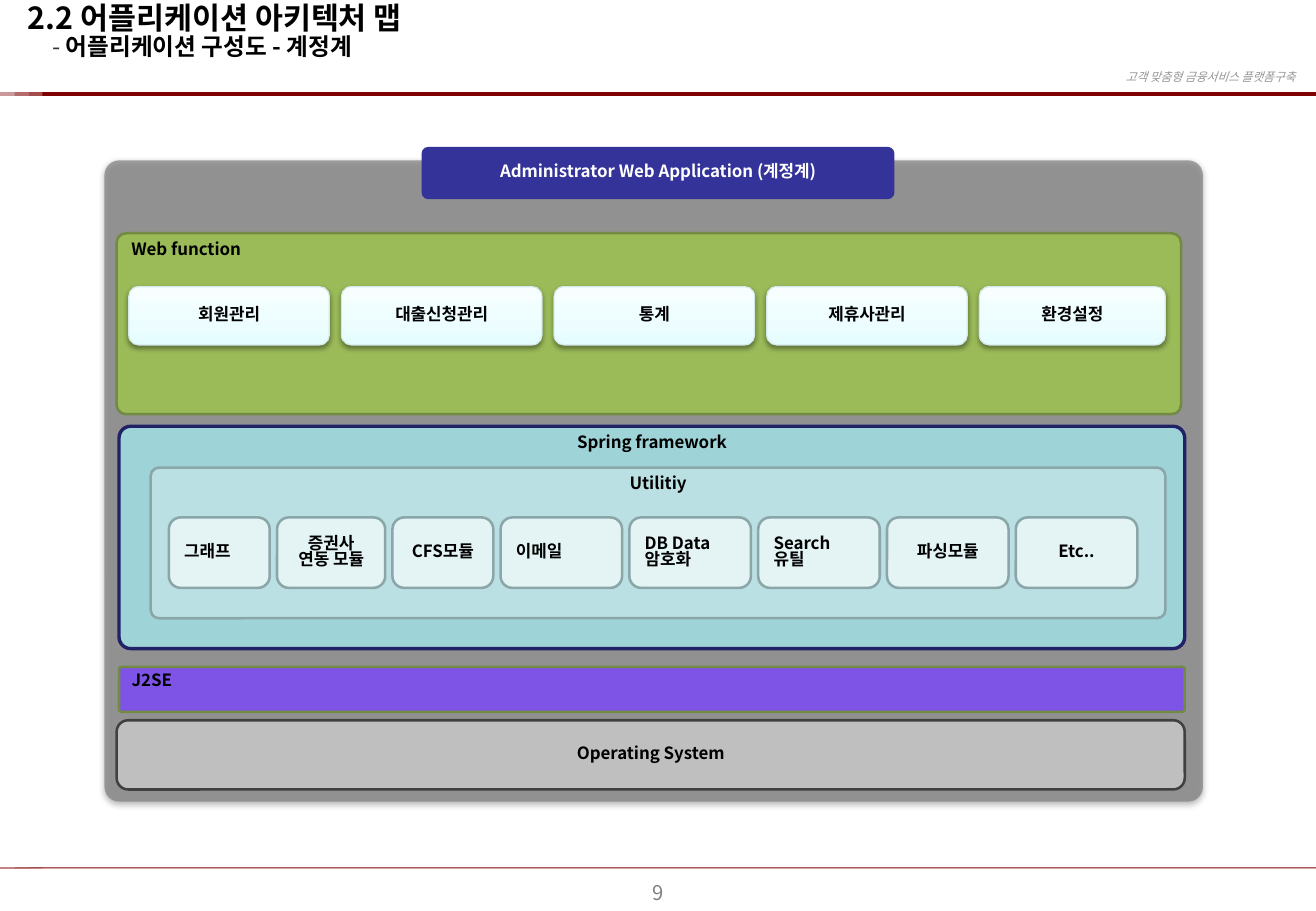
import pptx
import pptx.util
import pptx.dml.color
import pptx.enum.shapes
import pptx.enum.text
import pptx.oxml
from pptx.oxml.ns import nsdecls, qn

Inches, Pt = pptx.util.Inches, pptx.util.Pt
RGB = pptx.dml.color.RGBColor.from_string
SHAPE = pptx.enum.shapes.MSO_SHAPE
ALIGN = pptx.enum.text.PP_ALIGN
ANCHOR = pptx.enum.text.MSO_ANCHOR

THEME = {
    "font": "Noto Sans CJK KR",
    "title": 18, "subtitle": 14, "page": 12, "label": 10, "tag": 7,
    "black": "000000", "white": "FFFFFF", "dash": "333333",
    "page_gray": "808080", "tag_gray": "969696",
    "rule": ["7E0000", "A44B4B", "B46B6B", "CB9999"],
    "frame": "808080", "banner": "333399",
    "os": "BFBFBF", "os_line": "404040",
    "web": "9BBB59", "web_line": "738A42", "j2se": "7E54E6",
    "spring": "9ED3D7", "spring_line": "212166",
    "utility": "BBE0E3", "module": "E4F3F4", "utility_line": "8AA6A8",
    "function": ["E6FDFF", "F8FEFF"], "function_line": "D5E8EA",
}
SHADOW = (f'<a:effectLst {nsdecls("a")}><a:outerShdw blurRad="39370" dist="20320" '
          'dir="5400000" rotWithShape="0"><a:srgbClr val="000000">'
          '<a:alpha val="38000"/></a:srgbClr></a:outerShdw></a:effectLst>')


def write(p, text, size, color="black", bold=True, italic=False):
    """Add one run in the slide's font, for Latin and Korean alike."""
    r = p.add_run()
    r.text = text
    for name, value in {"name": THEME["font"], "size": Pt(THEME[size]),
                        "bold": bold, "italic": italic}.items():
        setattr(r.font, name, value)
    r.font.color.rgb = RGB(THEME[color])
    r.font._element.find(qn("a:latin")).addnext(pptx.oxml.parse_xml(
        f'<a:ea {nsdecls("a")} typeface="{THEME["font"]}"/>'))


def box(at, fill, line=None, width=1.5, radius=None, text="", color="black",
        align=ALIGN.CENTER, anchor=ANCHOR.MIDDLE, shadow=False):
    """Draw a panel; radius 0 gives square corners, a list as fill a gradient."""
    kind = SHAPE.RECTANGLE if radius == 0 else SHAPE.ROUNDED_RECTANGLE
    sp = s.shapes.add_shape(kind, *map(Inches, at))
    if radius:
        sp.adjustments[0] = radius
    sp.shadow.inherit = False
    if isinstance(fill, list):
        sp.fill.gradient()
        sp.fill.gradient_angle = 90
        for stop, stop_color in zip(sp.fill.gradient_stops, fill):
            stop.color.rgb = RGB(stop_color)
    else:
        sp.fill.solid()
        sp.fill.fore_color.rgb = RGB(fill)
    if line:
        sp.line.color.rgb = RGB(THEME[line])
        sp.line.width = Pt(width)
    else:
        sp.line.fill.background()
    if shadow:
        effects = sp._element.spPr.find(qn("a:effectLst"))
        effects.getparent().replace(effects, pptx.oxml.parse_xml(SHADOW))
    tf = sp.text_frame
    tf.word_wrap = True
    tf.vertical_anchor = anchor
    for i, part in enumerate(text.split("\n") if text else []):
        p = tf.add_paragraph() if i else tf.paragraphs[0]
        p.alignment = align
        p.line_spacing = 0.82
        write(p, part, "label", color)
    return sp


prs = pptx.Presentation()
prs.slide_width, prs.slide_height = Inches(10.83), Inches(7.5)
s = prs.slides.add_slide(prs.slide_layouts[5])

# Header and footer
for top, height in [(0.76, 0.03), (7.14, 0.01)]:
    for length, shade in zip([10.83, 0.35, 0.24, 0.12], THEME["rule"]):
        box((0, top, length, height), shade, radius=0)

for at, text, size, color, align, italic in [
    ((4.15, 7.2, 2.53, 0.29), "9", "page", "page_gray", ALIGN.CENTER, False),
    ((8.26, 0.52, 2.5, 0.22), "고객 맞춤형 금융서비스 플랫폼구축", "tag", "tag_gray",
     ALIGN.RIGHT, True),
]:
    tf = s.shapes.add_textbox(*map(Inches, at)).text_frame
    tf.word_wrap = True
    tf.vertical_anchor = ANCHOR.MIDDLE
    tf.paragraphs[0].alignment = align
    write(tf.paragraphs[0], text, size, color, bold=False, italic=italic)

title = s.shapes.title
for side, value in zip(["left", "top", "width", "height"], [0.13, -0.01, 9.75, 0.76]):
    setattr(title, side, Inches(value))
tf = title.text_frame
tf.vertical_anchor = ANCHOR.TOP
tf.auto_size = pptx.enum.text.MSO_AUTO_SIZE.NONE
heading, subheading = tf.paragraphs[0], tf.add_paragraph()
for p in (heading, subheading):
    p.alignment = ALIGN.LEFT
    p.line_spacing = 0.85
    p.space_before = Pt(0)
write(heading, "2.2 어플리케이션 아키텍처 맵", "title")
subheading._p.get_or_add_pPr().set("marL", str(Inches(0.2)))
write(subheading, "- ", "subtitle", "dash", bold=False)
write(subheading, "어플리케이션 구성도 - 계정계", "subtitle")

# Layers of the application
frame = box((0.86, 1.32, 9.04, 5.28), THEME["frame"], radius=0.023, shadow=True)
frame_color = frame.fill._xPr.find(qn("a:solidFill"))[0]
frame_color.append(pptx.oxml.parse_xml(f'<a:alpha {nsdecls("a")} val="70000"/>'))

top_left = {"align": ALIGN.LEFT, "anchor": ANCHOR.TOP}
top_center = {"anchor": ANCHOR.TOP}
for at, fill, line, width, radius, text, style in [
    ((0.96, 5.93, 8.79, 0.57), "os", "os_line", 1.5, None, "Operating System", {}),
    ((0.96, 1.92, 8.76, 1.49), "web", "web_line", 1.5, 0.052, "Web function", top_left),
    ((3.47, 1.21, 3.89, 0.43), "banner", None, 0, 0.12,
     "Administrator Web Application (계정계)", {"color": "white"}),
    ((0.98, 5.49, 8.77, 0.37), "j2se", "web_line", 1.5, 0.052, "J2SE", top_left),
    ((0.98, 3.51, 8.77, 1.83), "spring", "spring_line", 2, 0.052,
     "Spring framework", top_center),
    ((1.24, 3.85, 8.35, 1.24), "utility", "utility_line", 1.5, 0.055,
     "Utilitiy", top_center),
]:
    box(at, THEME[fill], line, width, radius, text, **style)

# Web functions
for i, name in enumerate(["회원관리", "대출신청관리", "통계", "제휴사관리", "환경설정"]):
    box((1.06 + 1.75 * i, 2.36, 1.53 if i == 4 else 1.65, 0.48), THEME["function"],
        "function_line", 0.75, text=name, shadow=True)

# Utility modules
left = 1.39
for name, width, align in [
    ("그래프", 0.83, ALIGN.LEFT), ("증권사 연동 모듈", 0.89, ALIGN.CENTER),
    ("CFS모듈", 0.83, ALIGN.CENTER), ("이메일", 1, ALIGN.LEFT),
    ("DB Data\n암호화", 1, ALIGN.LEFT), ("Search\n유틸", 1, ALIGN.LEFT),
    ("파싱모듈", 1, ALIGN.CENTER), ("Etc..", 1, ALIGN.CENTER),
]:
    box((left, 4.26, width, 0.58), THEME["module"], "utility_line", text=name, align=align)
    left += width + 0.06

prs.save("out.pptx")
